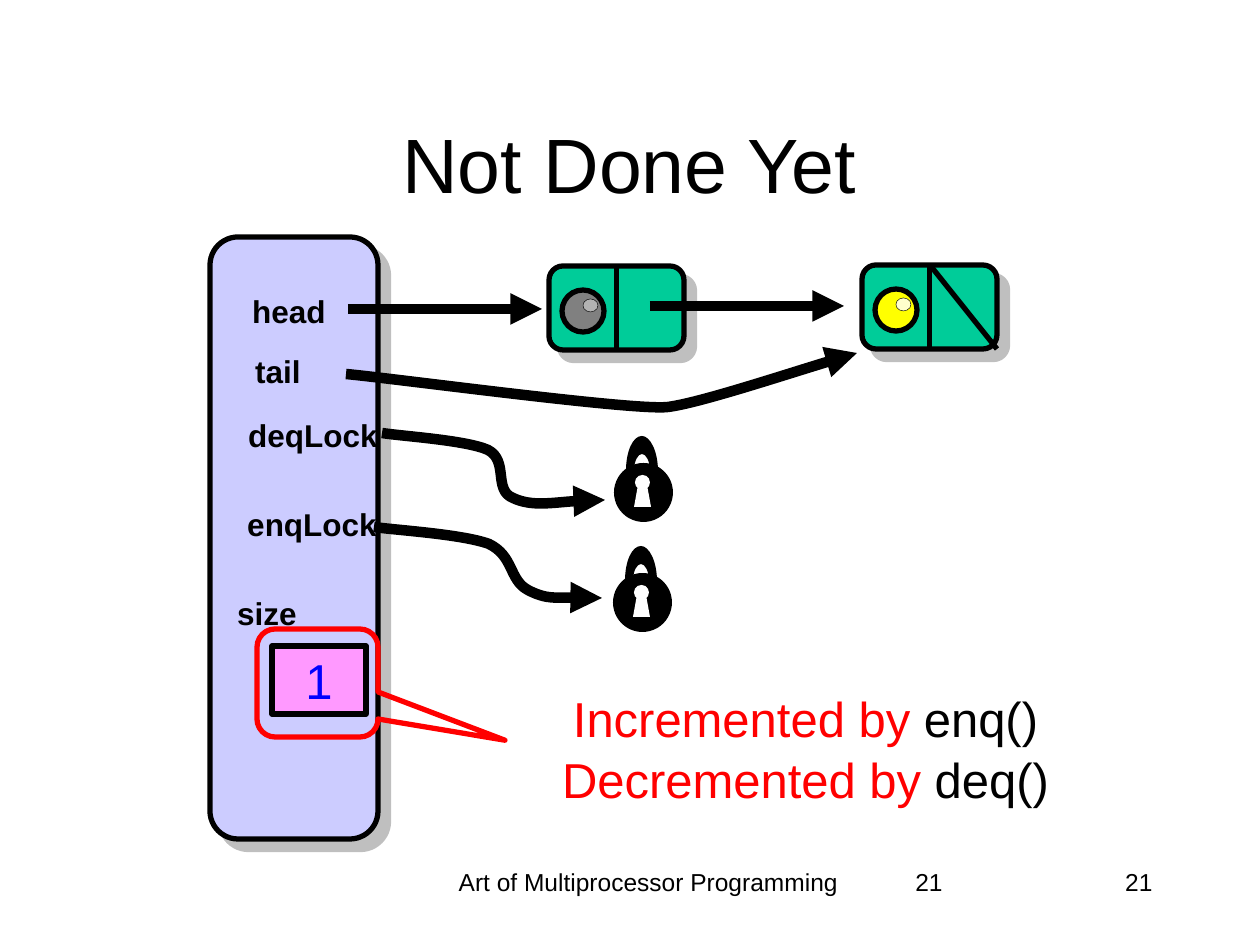
from lxml.etree import SubElement
from pptx import Presentation
from pptx.dml.color import RGBColor
from pptx.enum.shapes import MSO_CONNECTOR, MSO_SHAPE as SHAPE
from pptx.enum.text import MSO_ANCHOR as ANCHOR, MSO_AUTO_SIZE as AUTO, PP_ALIGN as ALIGN
from pptx.oxml.ns import qn
from pptx.util import Emu, Inches, Pt

PX = 914400 / 126
BLACK, WHITE, RED, GREEN = "000000", "FFFFFF", "FF0000", "00CC99"


def px(*values):
    return [Emu(round(v * PX)) for v in values]


def rgb(code):
    return RGBColor.from_string(code)


def style(shape, fill=None, line=None, width=3):
    shape.shadow.inherit = False
    if fill:
        shape.fill.solid()
        shape.fill.fore_color.rgb = rgb(fill)
    else:
        shape.fill.background()
    if line:
        shape.line.color.rgb = rgb(line)
        shape.line.width = Pt(width)
    else:
        shape.line.fill.background()


def drop_shadow(shape):
    effects = shape._element.spPr.find(qn("a:effectLst"))
    shadow = SubElement(effects, qn("a:outerShdw"), blurRad="0", dist=str(Pt(8.5)),
                        dir="2700000", algn="ctr", rotWithShape="0")
    color = SubElement(shadow, qn("a:srgbClr"), val="808080")
    SubElement(color, qn("a:alpha"), val="50000")


def arrowhead(shape):
    SubElement(shape.line._get_or_add_ln(), qn("a:tailEnd"), type="triangle")


def add_shape(shapes, kind, box, adjust=(), **look):
    sp = shapes.add_shape(kind, *px(*box))
    for i, value in enumerate(adjust):
        sp.adjustments[i] = value
    style(sp, **look)
    return sp


def add_line(shapes, start, end, width=3, arrow=False):
    line = shapes.add_connector(MSO_CONNECTOR.STRAIGHT, *px(*start, *end))
    line.line.color.rgb = rgb(BLACK)
    line.line.width = Pt(width)
    if arrow:
        arrowhead(line)
    SubElement(line._element.spPr, qn("a:effectLst"))
    return line


def add_path(shapes, start, segments, close=False, **look):
    """Draw segments of one point (straight) or three points (Bezier curve)."""
    builder = shapes.build_freeform(*start, scale=PX)
    builder.add_line_segments([pt for seg in segments for pt in seg], close=close)
    sp = builder.convert_to_shape()
    steps = iter(list(sp._element.iter(qn("a:lnTo"))))
    for seg in segments:
        first, *others = [next(steps) for _ in seg]
        if others:
            first.tag = qn("a:cubicBezTo")
            for step in others:
                first.append(step[0])
                step.getparent().remove(step)
    style(sp, **look)
    return sp


def write(tf, paragraphs, align=ALIGN.CENTER, size=18, bold=False, spacing=None):
    """Fill a text frame; each paragraph is a list of (text, colour) runs."""
    for i, runs in enumerate(paragraphs):
        p = tf.add_paragraph() if i else tf.paragraphs[0]
        p.alignment = align
        p.line_spacing = spacing
        for text, color in runs:
            r = p.add_run()
            r.text = text
            r.font.color.rgb = rgb(color)
            for name, value in {"name": "Arial", "size": Pt(size), "bold": bold}.items():
                setattr(r.font, name, value)


def add_text(shapes, box, paragraphs, wrap=True, auto_size=AUTO.NONE, **text_format):
    tf = shapes.add_textbox(*px(*box)).text_frame
    tf.word_wrap = wrap
    tf.auto_size = auto_size
    write(tf, paragraphs, **text_format)


def add_node(shapes, x, y, bead, highlight):
    """Queue node: value bead on the left, next field on the right."""
    g = shapes.add_group_shape().shapes
    body = add_shape(g, SHAPE.ROUNDED_RECTANGLE, (x, y, 135, 84), [0.167],
                     fill=GREEN, line=BLACK)
    drop_shadow(body)
    divider = add_line(g, (x + 68, y), (x + 68, y + 84))
    divider.begin_connect(body, 0)
    divider.end_connect(body, 2)
    add_shape(g, SHAPE.OVAL, (x + 13, y + 24, 42, 42), fill=bead, line=BLACK)
    add_shape(g, SHAPE.OVAL, (x + 34, y + 33, 15, 13), fill=highlight, line=BLACK, width=0.25)


def add_lock(shapes, x, y):
    def at(*points):
        return [(x + dx, y + dy) for dx, dy in points]

    g = shapes.add_group_shape().shapes
    add_shape(g, SHAPE.OVAL, (x, y, 59, 59), fill=BLACK)
    add_shape(g, SHAPE.OVAL, (x + 21, y + 12, 15, 15), fill=WHITE)
    add_path(g, (x + 20, y + 44), [at((24, 22)), at((33, 22)), at((37, 44))],
             close=True, fill=WHITE)
    add_path(g, (x + 20, y + 8), [
        at((20, -2), (24, -9), (28, -9)), at((32, -9), (36, -2), (36, 8)),
        at((44, 8)),
        at((44, -12), (36, -27), (28, -27)), at((19, -27), (12, -12), (12, 8)),
    ], close=True, fill=BLACK)


def add_curved_arrow(shapes, start, segments):
    arrowhead(add_path(shapes, start, segments, line=BLACK, width=6))


def main():
    prs = Presentation()
    prs.slide_width, prs.slide_height = Inches(10), Inches(7.5)
    s = prs.slides.add_slide(prs.slide_layouts[5])
    shapes = s.shapes

    title = shapes.title
    title.left, title.top, title.width, title.height = px(94, 84, 1071, 158)
    title.text_frame.vertical_anchor = ANCHOR.MIDDLE
    write(title.text_frame, [[("Not Done Yet", BLACK)]], size=44)

    add_text(shapes, (431, 861, 435, 63), [[("Art of Multiprocessor Programming", BLACK)]], size=14)
    for align in (ALIGN.LEFT, ALIGN.RIGHT):
        add_text(shapes, (903, 861, 262, 63), [[("21", BLACK)]], align=align, size=14)

    queue = add_shape(shapes, SHAPE.ROUNDED_RECTANGLE, (210, 237, 168, 602), [0.167],
                      fill="CCCCFF", line=BLACK)
    drop_shadow(queue)

    add_node(shapes, 549, 266, "808080", "B2B2B2")
    add_node(shapes, 862, 265, "FFFF00", "FFFFCC")
    add_line(shapes, (930, 265), (997, 349))
    add_line(shapes, (348, 309), (542, 309), width=6, arrow=True)
    add_line(shapes, (650, 306), (844, 306), width=6, arrow=True)

    for name, x, y, width in [("head", 239, 286, 100), ("tail", 242, 346, 72),
                              ("deqLock", 235, 410, 156), ("enqLock", 234, 499, 156),
                              ("size", 224, 588, 86)]:
        add_text(shapes, (x, y, width, 50), [[(name, BLACK)]], wrap=False,
                 auto_size=AUTO.SHAPE_TO_FIT_TEXT, bold=True)

    add_curved_arrow(shapes, (346, 374), [
        [(399, 379), (635, 411), (668, 407)], [(699, 403), (818, 364), (857, 353)]])
    add_curved_arrow(shapes, (382, 433), [
        [(399, 436), (466, 440), (488, 450)], [(509, 461), (493, 490), (513, 498)],
        [(532, 507), (586, 499), (605, 500)]])
    add_curved_arrow(shapes, (374, 527), [
        [(393, 530), (462, 534), (489, 544)], [(514, 556), (509, 580), (528, 590)],
        [(547, 600), (586, 597), (602, 598)]])

    add_text(shapes, (404, 679, 803, 131),
             [[("Incremented by ", RED), ("enq()", BLACK)],
              [("Decremented by ", RED), ("deq()", BLACK)]],
             auto_size=AUTO.SHAPE_TO_FIT_TEXT, size=28, spacing=1.05)

    add_shape(shapes, SHAPE.ROUNDED_RECTANGULAR_CALLOUT, (257, 629, 121, 108),
              [1.55, 0.53, 0.167], line=RED)
    counter = add_shape(shapes, SHAPE.RECTANGLE, (272, 646, 94, 68), fill="FF99FF", line=BLACK)
    counter.text_frame.word_wrap = False
    counter.text_frame.vertical_anchor = ANCHOR.MIDDLE
    write(counter.text_frame, [[("1", "0000FF")]], size=28)

    add_lock(shapes, 613, 573)
    add_lock(shapes, 614, 463)

    prs.save("out.pptx")


if __name__ == "__main__":
    main()
